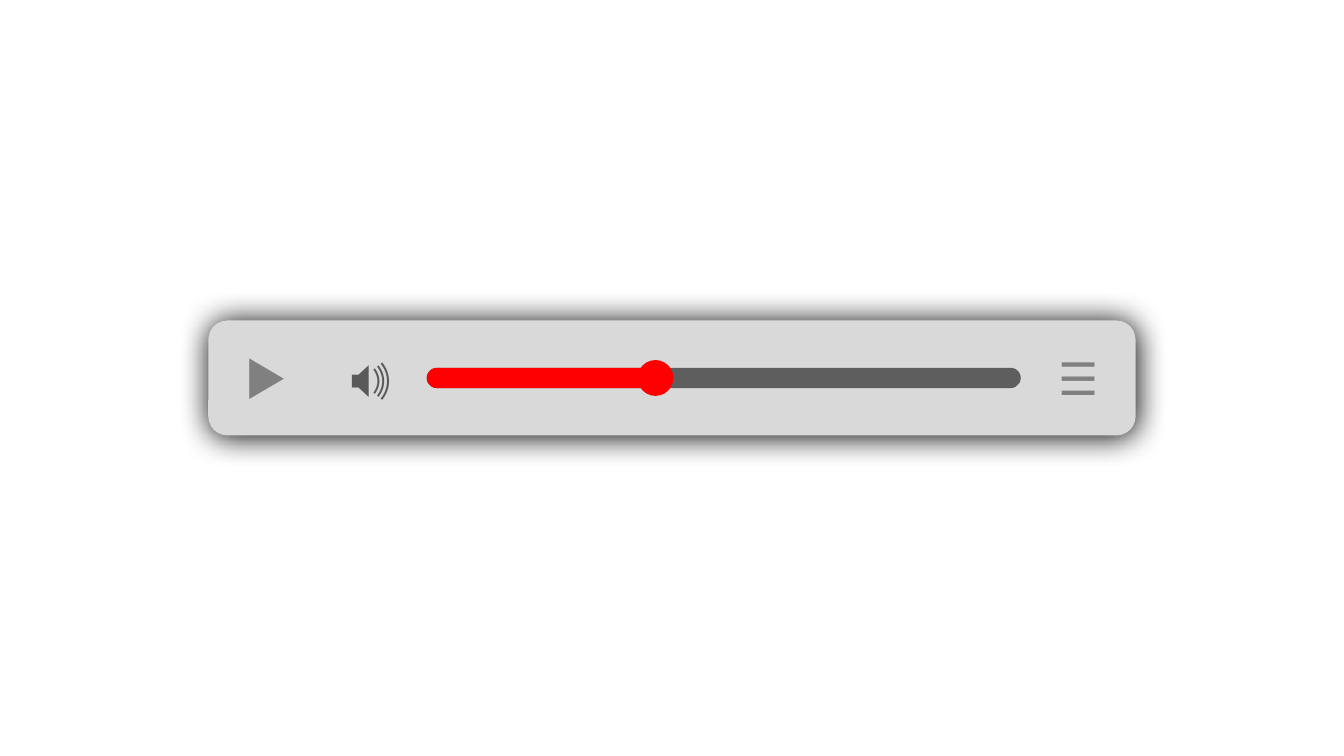
from lxml import etree
from pptx import Presentation
from pptx.dml.color import RGBColor
from pptx.enum.shapes import MSO_SHAPE
from pptx.enum.text import MSO_ANCHOR, PP_ALIGN
from pptx.oxml.ns import qn
from pptx.util import Inches, Pt

ROUND, OVAL = MSO_SHAPE.ROUNDED_RECTANGLE, MSO_SHAPE.OVAL
CENTER, MIDDLE = PP_ALIGN.CENTER, MSO_ANCHOR.MIDDLE
PANEL, TRACK, PLAYED = "D9D9D9", "5E5E5E", "FF0000"
WIDE, HIGH = 13.33, 7.5


def paint(fill, color):
    """Make a fill solid in a colour from a hex string."""
    fill.solid()
    fill.fore_color.rgb = RGBColor.from_string(color)


def add_form(slide, kind, box, color):
    form = slide.shapes.add_shape(kind, *(Inches(v) for v in box))
    form.shadow.inherit = False
    paint(form.fill, color)
    form.line.fill.background()
    return form


def add_glow(form, blur):
    """Put a soft black shadow evenly around a shape."""
    effects = form._element.spPr.find(qn("a:effectLst"))
    shade = etree.SubElement(effects, qn("a:outerShdw"), blurRad=str(Pt(blur)),
                             dist="0", dir="0", algn="ctr", rotWithShape="0")
    etree.SubElement(shade, qn("a:srgbClr"), val="000000")


def add_button(slide, box, sign, font, color):
    frame = add_form(slide, ROUND, box, PANEL).text_frame
    frame.vertical_anchor = MIDDLE
    line = frame.paragraphs[0]
    line.alignment = CENTER
    run = line.add_run()
    run.text = sign
    run.font.size = Pt(32)
    run.font.name = font
    paint(run.font.fill, color)


def add_slider(slide, box, share):
    """Draw a track filled up to a share of its width, with a knob there."""
    left, top, width, height = box
    thick, knob = height * 0.22, height * 0.39
    middle = top + height / 2
    for length, color in ((width, TRACK), (width * share, PLAYED)):
        rail = add_form(slide, ROUND, (left, middle - thick / 2, length, thick), color)
        rail.adjustments[0] = 0.5
    spot = left + width * share + 0.03
    add_form(slide, OVAL, (spot - knob / 2, middle - knob / 2, knob, knob), PLAYED)


def add_player(slide, box):
    """Lay out two buttons, the slider and a last button in a row."""
    left, top, width, height = box
    add_glow(add_form(slide, ROUND, box, PANEL), 22)
    gap = height * 0.1
    side = height - 2 * gap
    step = side + gap
    first, last = left + gap, left + width - step
    row = top + gap
    start = first + 2 * step
    add_button(slide, (first, row, side, side), "▶", "Inter", "808080")
    add_button(slide, (last, row, side, side), "☰", "Inter", "808080")
    add_slider(slide, (start, row, last - gap - start, side), 0.38)
    add_button(slide, (first + step, row, side, side), "🔊", "Calibri", "595959")


def main():
    deck = Presentation()
    deck.slide_width, deck.slide_height = Inches(WIDE), Inches(HIGH)
    slide = deck.slides.add_slide(deck.slide_layouts[6])
    wide, high = WIDE * 0.69, HIGH * 0.152
    add_player(slide, ((WIDE - wide) / 2, (HIGH - high) / 2, wide, high))
    deck.save("out.pptx")


if __name__ == "__main__":
    main()
